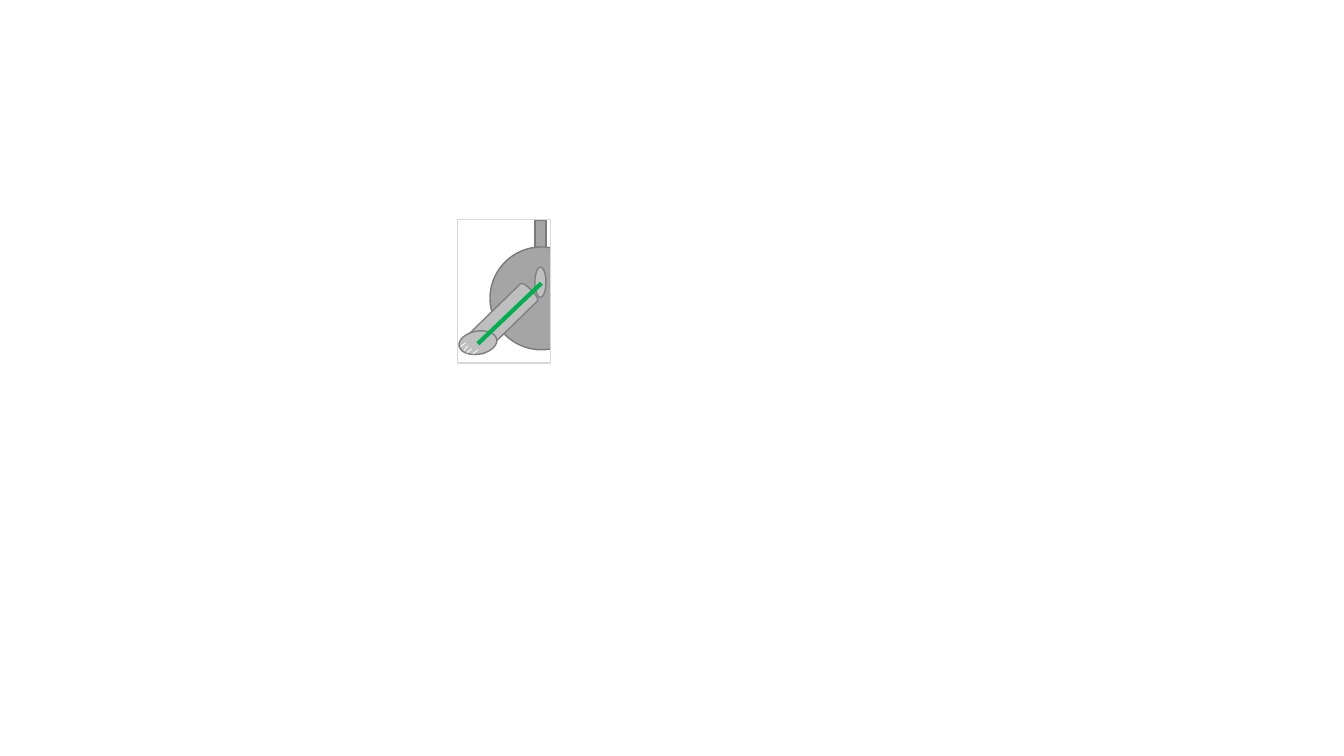
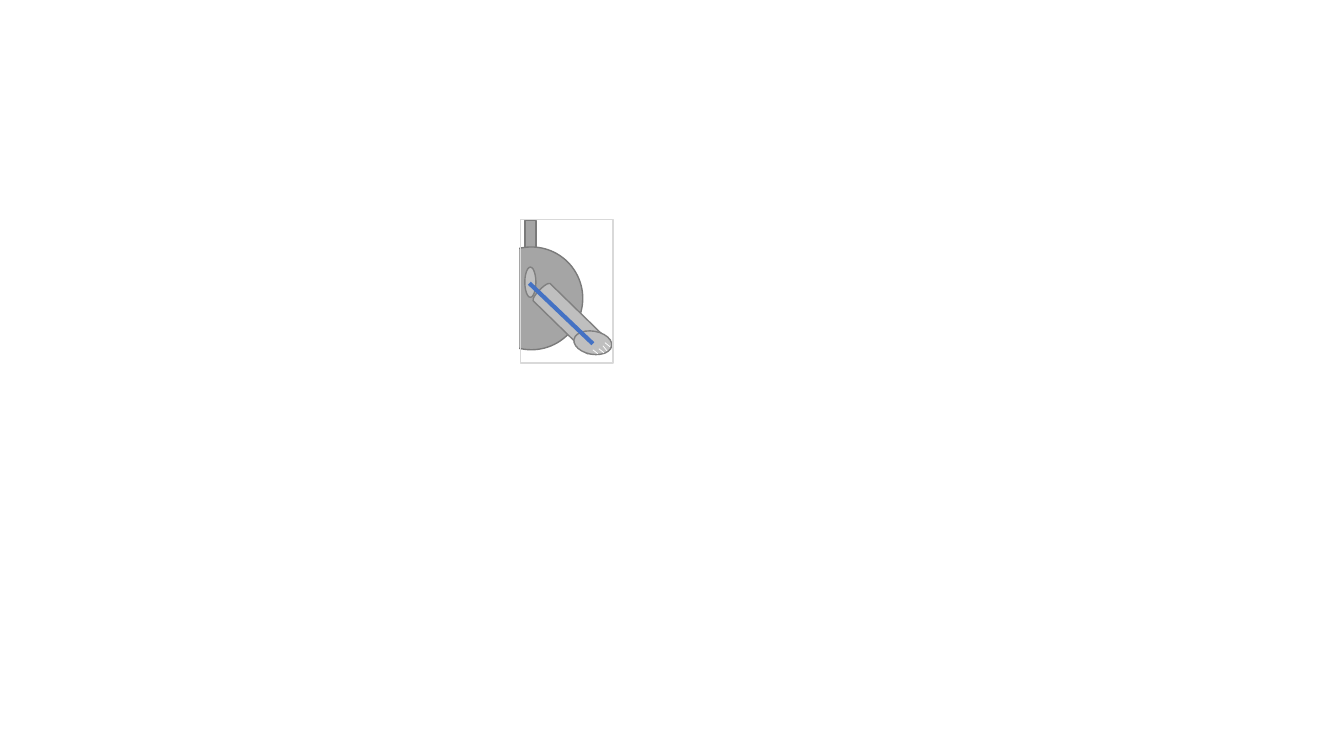
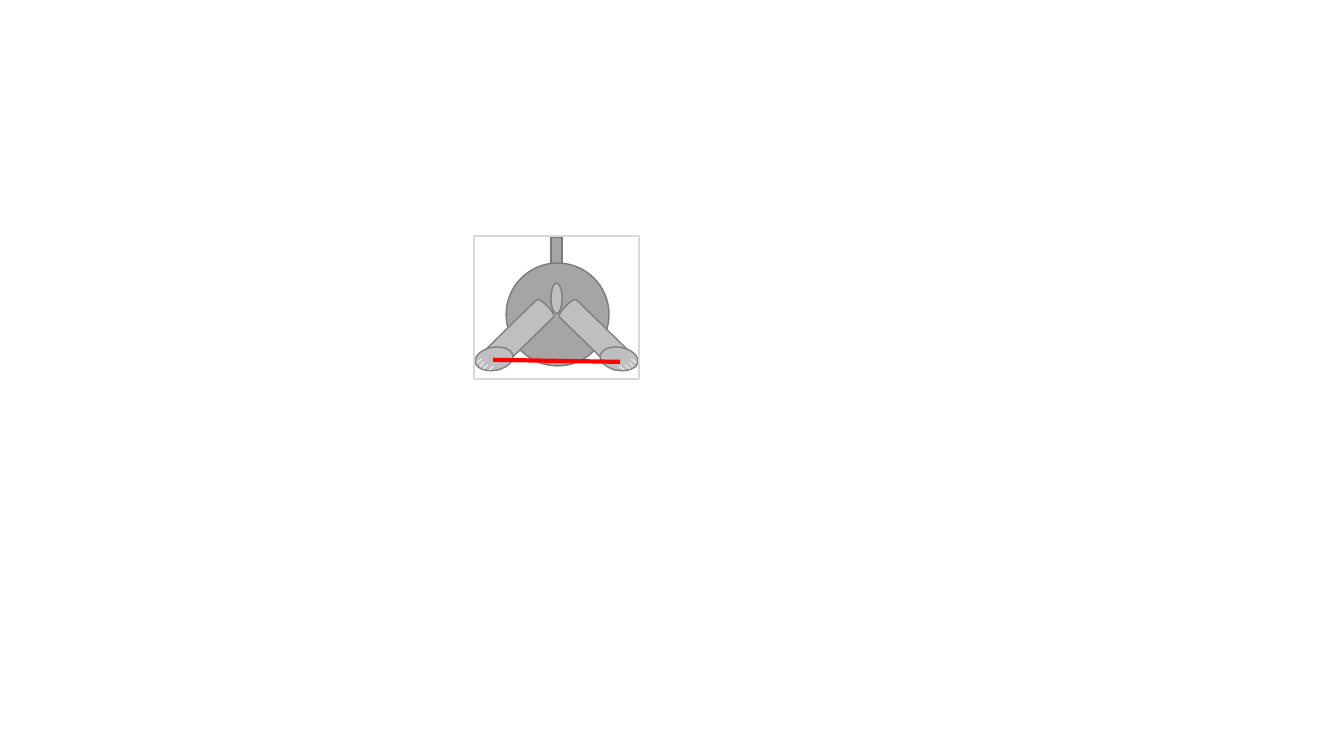
from lxml.etree import SubElement
from pptx import Presentation
from pptx.dml.color import RGBColor
from pptx.enum.shapes import MSO_CONNECTOR, MSO_SHAPE
from pptx.oxml.ns import qn
from pptx.util import Inches, Pt

THEME = {
    "body": ("A5A5A5", "7A7A7A"),
    "limb": ("BFBFBF", "808080"),
    "frame": (None, "D9D9D9"),
    "mask": ("FFFFFF", "FFFFFF"),
    "toe": "FFFFFF",
    "left": "00B050",
    "right": "4472C4",
    "both": "FF0000",
    "outline": 1,
    "toe_width": 0.5,
    "marker_width": 3,
}

LEFT, RIGHT = -1, 1
TOES = [
    (0.74, 1.22, 0.79, 1.26),
    (0.72, 1.25, 0.76, 1.3),
    (0.68, 1.28, 0.73, 1.32),
    (0.62, 1.29, 0.67, 1.33),
]
VIEWS = [
    {"axis": 5.36, "top": 2.18, "sides": [LEFT], "marker": "left"},
    {"axis": 5.26, "top": 2.18, "sides": [RIGHT], "marker": "right"},
    {"axis": 5.52, "top": 2.34, "sides": [RIGHT, LEFT], "marker": "both"},
]


def add_part(shapes, kind, center_x, center_y, width, height, style, rotation=0):
    part = shapes.add_shape(
        kind, Inches(center_x - width / 2), Inches(center_y - height / 2),
        Inches(width), Inches(height))
    fill, outline = THEME[style]
    if fill:
        part.fill.solid()
        part.fill.fore_color.rgb = RGBColor.from_string(fill)
    else:
        part.fill.background()
    part.line.color.rgb = RGBColor.from_string(outline)
    part.line.width = Pt(THEME["outline"])
    part.shadow.inherit = False
    part.rotation = rotation


def add_stroke(shapes, x1, y1, x2, y2, color, width):
    stroke = shapes.add_connector(
        MSO_CONNECTOR.STRAIGHT, Inches(x1), Inches(y1), Inches(x2), Inches(y2))
    stroke.line.color.rgb = RGBColor.from_string(THEME[color])
    stroke.line.width = Pt(THEME[width])
    SubElement(stroke.element.spPr, qn("a:effectLst"))


deck = Presentation()
deck.slide_width, deck.slide_height = Inches(13.33), Inches(7.5)

for view in VIEWS:
    axis, top, sides = view["axis"], view["top"], view["sides"]
    drawing = deck.slides.add_slide(deck.slide_layouts[6]).shapes.add_group_shape().shapes
    paired = len(sides) == 2

    add_part(drawing, MSO_SHAPE.RECTANGLE, axis, top + 0.22, 0.11, 0.42, "body")
    add_part(drawing, MSO_SHAPE.OVAL, axis + 0.01, top + 0.78, 1.02, 1.02, "body")

    for side in sides:
        add_part(drawing, MSO_SHAPE.CAN, axis + side * 0.38, top + 0.98, 0.24, 0.81,
                 "limb", 180 - side * 45.7)
        add_part(drawing, MSO_SHAPE.OVAL, axis, top + 0.62, 0.11, 0.3, "limb")
        add_part(drawing, MSO_SHAPE.OVAL, axis + side * 0.62, top + 1.22, 0.38, 0.23,
                 "limb", side * 10)
        for x1, y1, x2, y2 in TOES:
            add_stroke(drawing, axis + side * x1, top + y1, axis + side * x2, top + y2,
                       "toe", "toe_width")

    if paired:
        add_part(drawing, MSO_SHAPE.RECTANGLE, axis, top + 0.71, 1.64, 1.42, "frame")
        add_stroke(drawing, axis - 0.63, top + 1.23, axis + 0.63, top + 1.25,
                   view["marker"], "marker_width")
    else:
        side = sides[0]
        add_part(drawing, MSO_SHAPE.RECTANGLE, axis + side * 0.36, top + 0.71, 0.92, 1.42, "frame")
        add_part(drawing, MSO_SHAPE.RECTANGLE, axis - side * 0.42, top + 0.71, 0.61, 1.42, "mask")
        add_stroke(drawing, axis + side * 0.62, top + 1.23, axis - side * 0.01, top + 0.63,
                   view["marker"], "marker_width")

deck.save("out.pptx")
